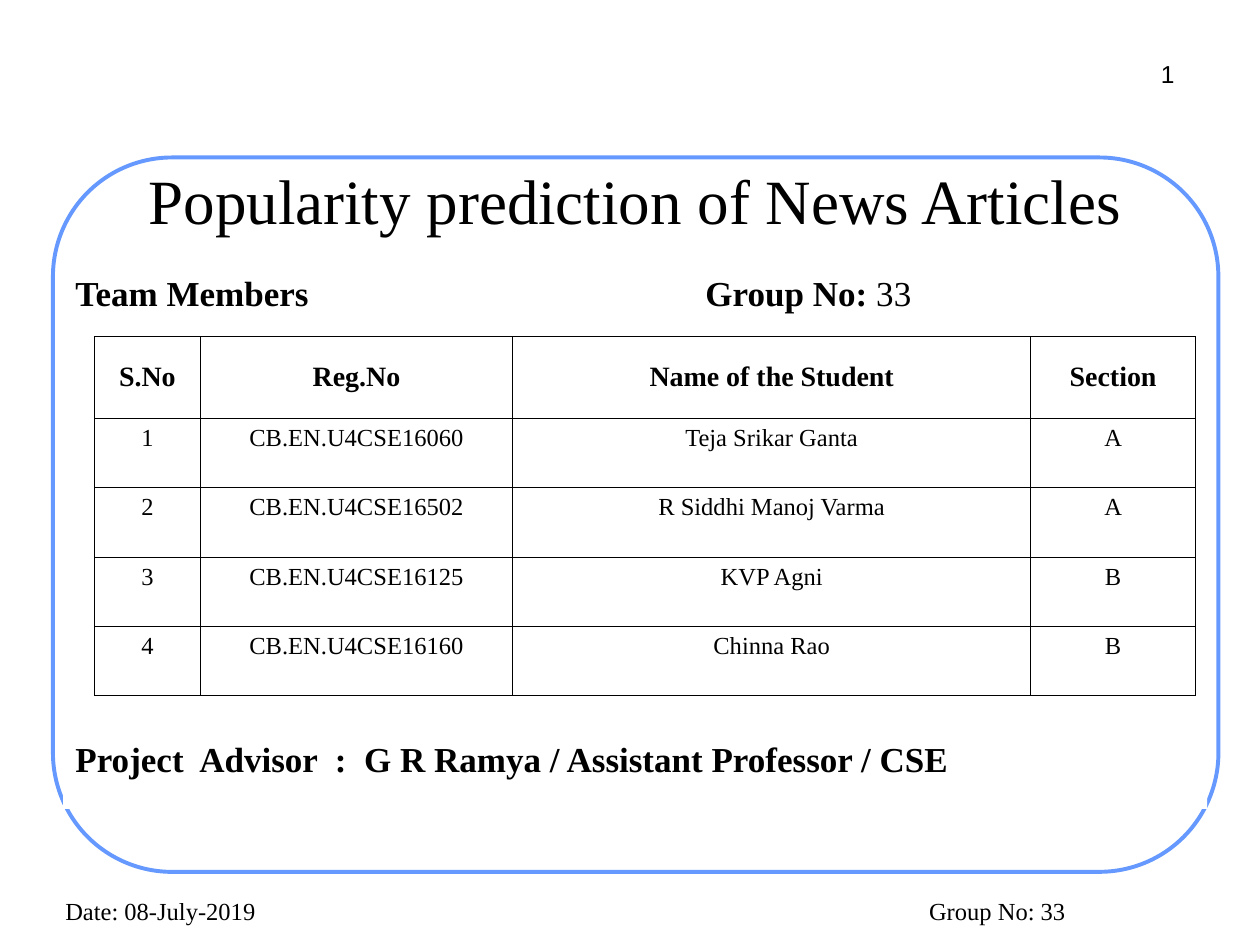
from lxml import etree
from pptx import Presentation
from pptx.dml.color import RGBColor
from pptx.enum.shapes import MSO_SHAPE
from pptx.enum.text import MSO_ANCHOR, PP_ALIGN
from pptx.oxml.ns import qn
from pptx.util import Inches, Pt

LEFT, CENTER, RIGHT = PP_ALIGN.LEFT, PP_ALIGN.CENTER, PP_ALIGN.RIGHT
TOP, MIDDLE = MSO_ANCHOR.TOP, MSO_ANCHOR.MIDDLE
ROUNDED, RECTANGLE = MSO_SHAPE.ROUNDED_RECTANGLE, MSO_SHAPE.RECTANGLE
TITLE_ONLY = 5

SERIF, SANS = "Times New Roman", "Arial"
BLACK, WHITE, BLUE = "000000", "FFFFFF", "6699FF"

COLUMN_WIDTHS = [0.84, 2.48, 4.11, 1.31]
HEADER_HEIGHT, ROW_HEIGHT = 0.65, 0.55
STUDENTS = [
    ("S.No", "Reg.No", "Name of the Student", "Section"),
    ("1", "CB.EN.U4CSE16060", "Teja Srikar Ganta", "A"),
    ("2", "CB.EN.U4CSE16502", "R Siddhi Manoj Varma", "A"),
    ("3", "CB.EN.U4CSE16125", "KVP Agni", "B"),
    ("4", "CB.EN.U4CSE16160", "Chinna Rao", "B"),
]


def color(hex_string):
    return RGBColor.from_string(hex_string)


def inches(box):
    return [Inches(value) for value in box]


def write(paragraph, text, size=14, font=SERIF, bold=False, align=LEFT):
    paragraph.alignment = align
    run = paragraph.add_run()
    run.text = text
    run.font.size = Pt(size)
    run.font.name = font
    run.font.bold = bold
    run.font.color.rgb = color(BLACK)


def add_panel(slide, box, kind, line=None):
    shape = slide.shapes.add_shape(kind, *inches(box))
    shape.shadow.inherit = False
    shape.fill.solid()
    shape.fill.fore_color.rgb = color(WHITE)
    if line:
        shape.line.color.rgb = color(line)
        shape.line.width = Pt(2.25)
    else:
        shape.line.fill.background()
    return shape


def add_label(slide, box, text, **text_format):
    frame = slide.shapes.add_textbox(*inches(box)).text_frame
    frame.word_wrap = True
    write(frame.paragraphs[0], text, **text_format)


def add_title(slide, box, text):
    title = slide.shapes.title
    title.left, title.top, title.width, title.height = inches(box)
    title.text_frame.vertical_anchor = MIDDLE
    write(title.text_frame.paragraphs[0], text, size=36, align=CENTER)


def add_tab_stop(paragraph, position):
    properties = paragraph._p.get_or_add_pPr()
    tabs = etree.SubElement(properties, qn("a:tabLst"))
    etree.SubElement(tabs, qn("a:tab"), pos=str(Inches(position)), algn="l")


def add_team_panel(slide, box):
    frame = add_panel(slide, box, RECTANGLE).text_frame
    frame.word_wrap = True
    frame.vertical_anchor = TOP
    heading, advisor = frame.paragraphs[0], frame.add_paragraph()
    write(heading, "Team Members\tGroup No: ", size=20, bold=True)
    write(heading, "33", size=20)
    write(advisor, "Project  Advisor  :  G R Ramya / Assistant Professor / CSE",
          size=20, bold=True)
    # The space before the advisor line leaves room for the table
    for paragraph, space in ((heading, 5), (advisor, 247)):
        paragraph.line_spacing = 0.8
        paragraph.space_before = Pt(space)
    add_tab_stop(heading, 5)


def set_borders(cell, hex_string, width):
    properties = cell._tc.get_or_add_tcPr()
    for index, side in enumerate(("a:lnL", "a:lnR", "a:lnT", "a:lnB")):
        line = etree.Element(qn(side), w=str(Pt(width)))
        fill = etree.SubElement(line, qn("a:solidFill"))
        etree.SubElement(fill, qn("a:srgbClr"), val=hex_string)
        properties.insert(index, line)


def add_student_table(slide, box):
    table = slide.shapes.add_table(
        len(STUDENTS), len(COLUMN_WIDTHS), *inches(box)).table
    table.horz_banding = False
    for column, width in zip(table.columns, COLUMN_WIDTHS):
        column.width = Inches(width)
    for row_index, values in enumerate(STUDENTS):
        header = row_index == 0
        table.rows[row_index].height = Inches(
            HEADER_HEIGHT if header else ROW_HEIGHT)
        for cell, text in zip(table.rows[row_index].cells, values):
            cell.fill.background()
            cell.margin_left = cell.margin_right = Inches(0.07)
            cell.vertical_anchor = MIDDLE if header else TOP
            write(cell.text_frame.paragraphs[0], text,
                  size=16 if header else 14, bold=header, align=CENTER)
            set_borders(cell, BLACK, 0.45)


def main():
    presentation = Presentation()
    presentation.slide_width, presentation.slide_height = inches((10, 7.5))
    slide = presentation.slides.add_slide(
        presentation.slide_layouts[TITLE_ONLY])

    # Rounded frame, placed behind the title
    frame = add_panel(slide, (0.42, 1.25, 9.25, 5.67), ROUNDED, line=BLUE)
    slide.shapes.title.element.addprevious(frame.element)

    # Title, team and table
    add_title(slide, (0.83, 1.08, 8.42, 1), "Popularity prediction of News Articles")
    add_team_panel(slide, (0.5, 2.17, 9.08, 4.25))
    add_student_table(slide, (0.75, 2.67, 8.75, 2.83))

    # Slide number and footer
    add_label(slide, (7.67, 0.42, 1.75, 0.52), "1", font=SANS, align=RIGHT)
    add_label(slide, (0.42, 7.06, 2.33, 0.52), "Date: 08-July-2019")
    add_label(slide, (6.33, 7.06, 3.17, 0.52), "Group No: 33", align=CENTER)

    presentation.save("out.pptx")


if __name__ == "__main__":
    main()
